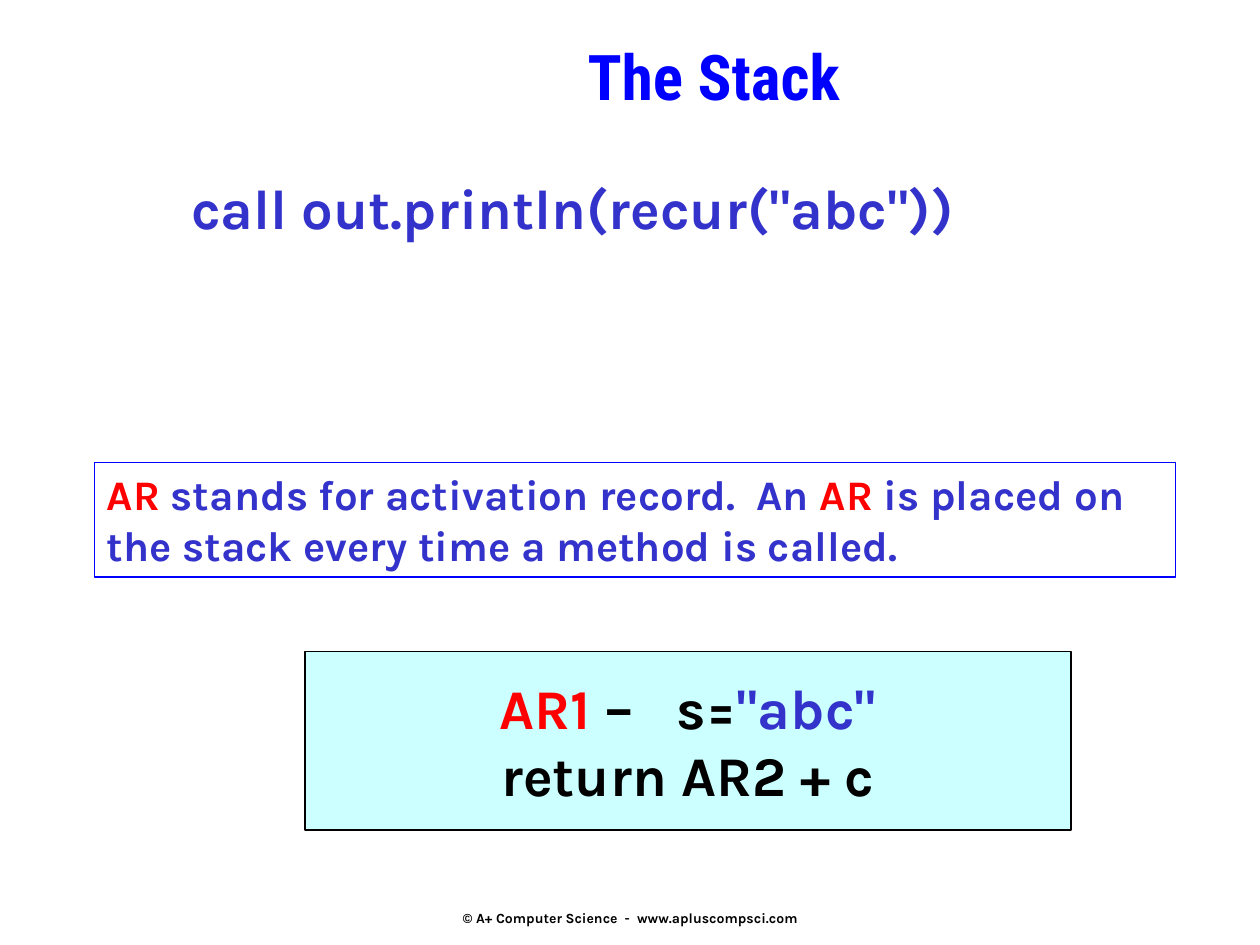
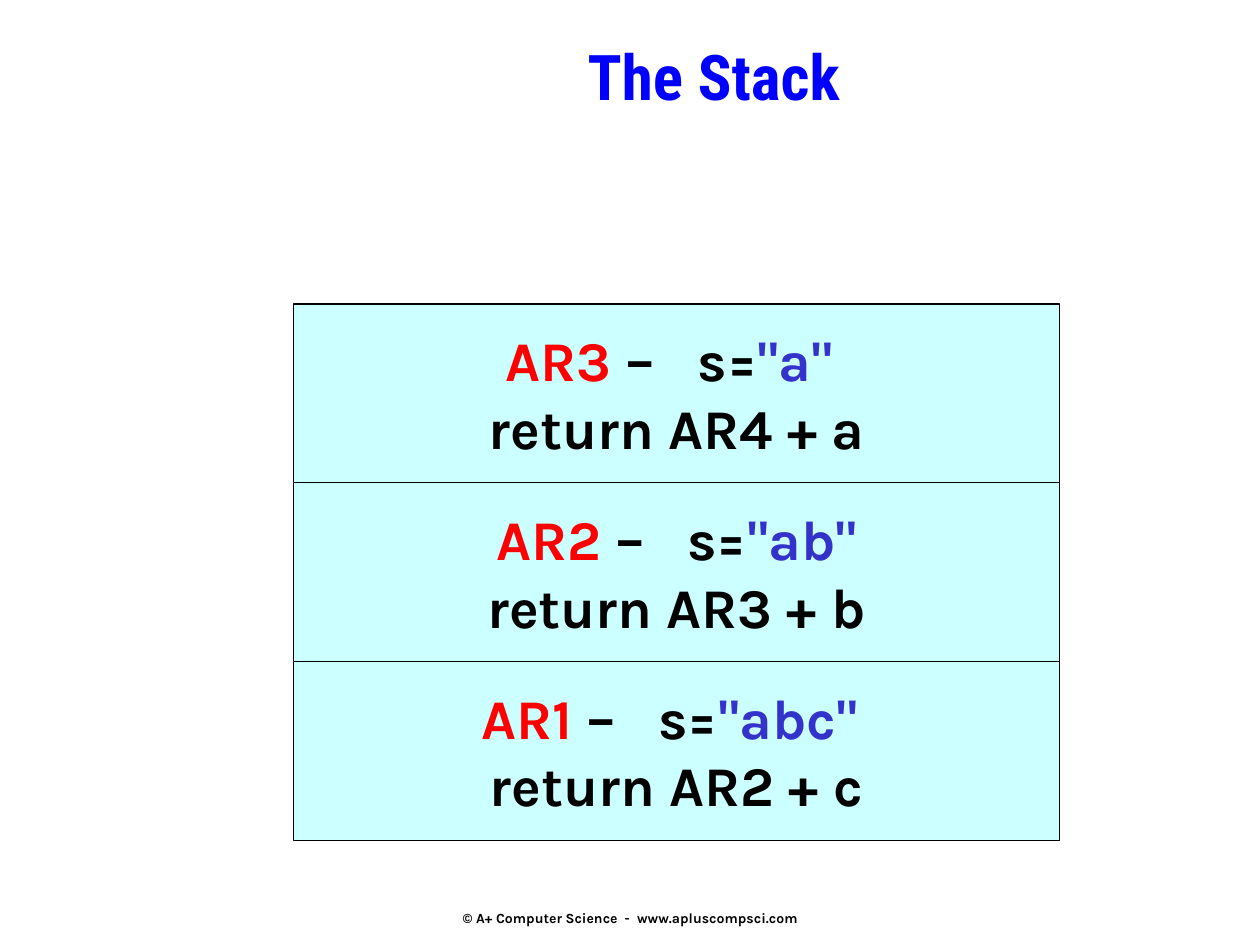
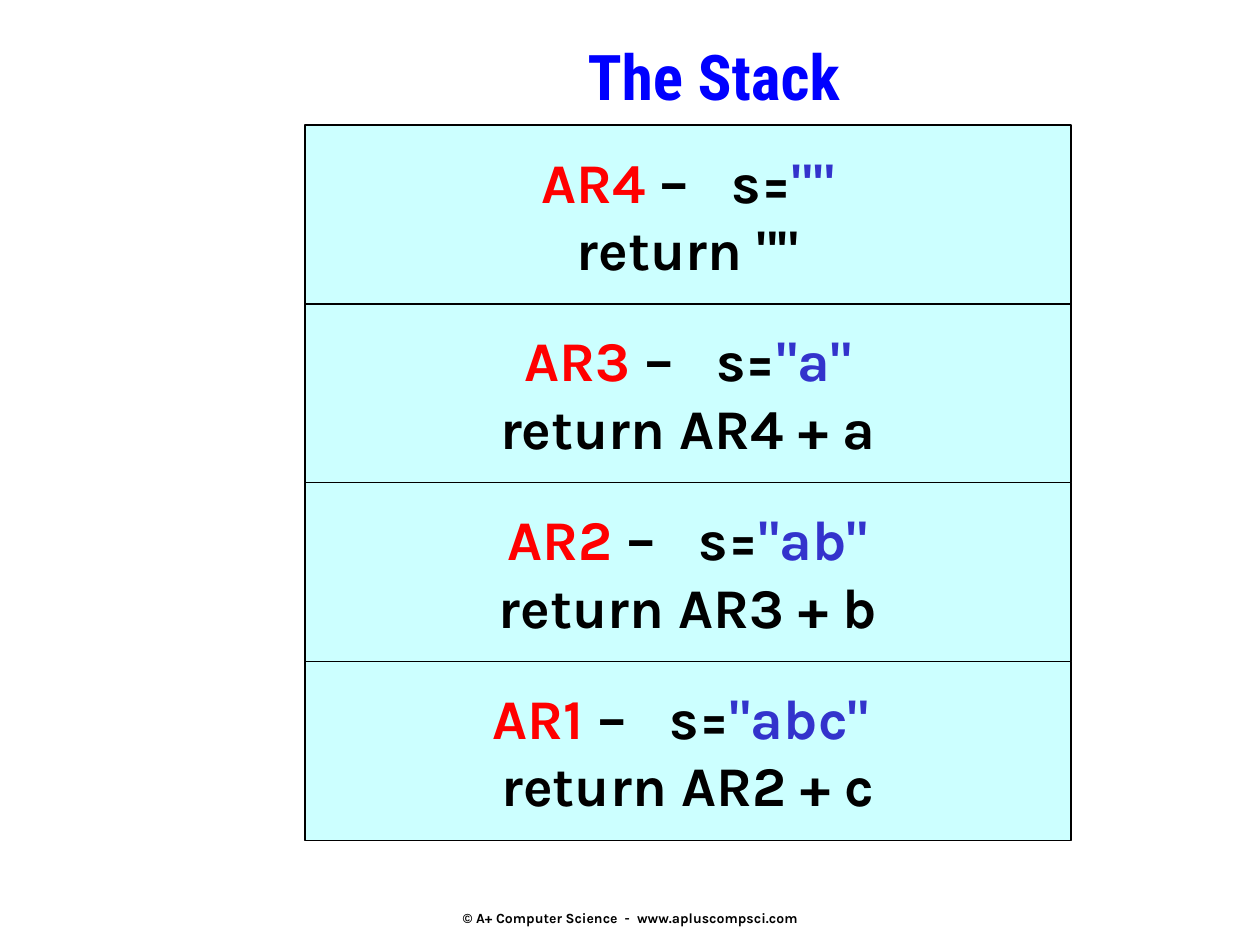
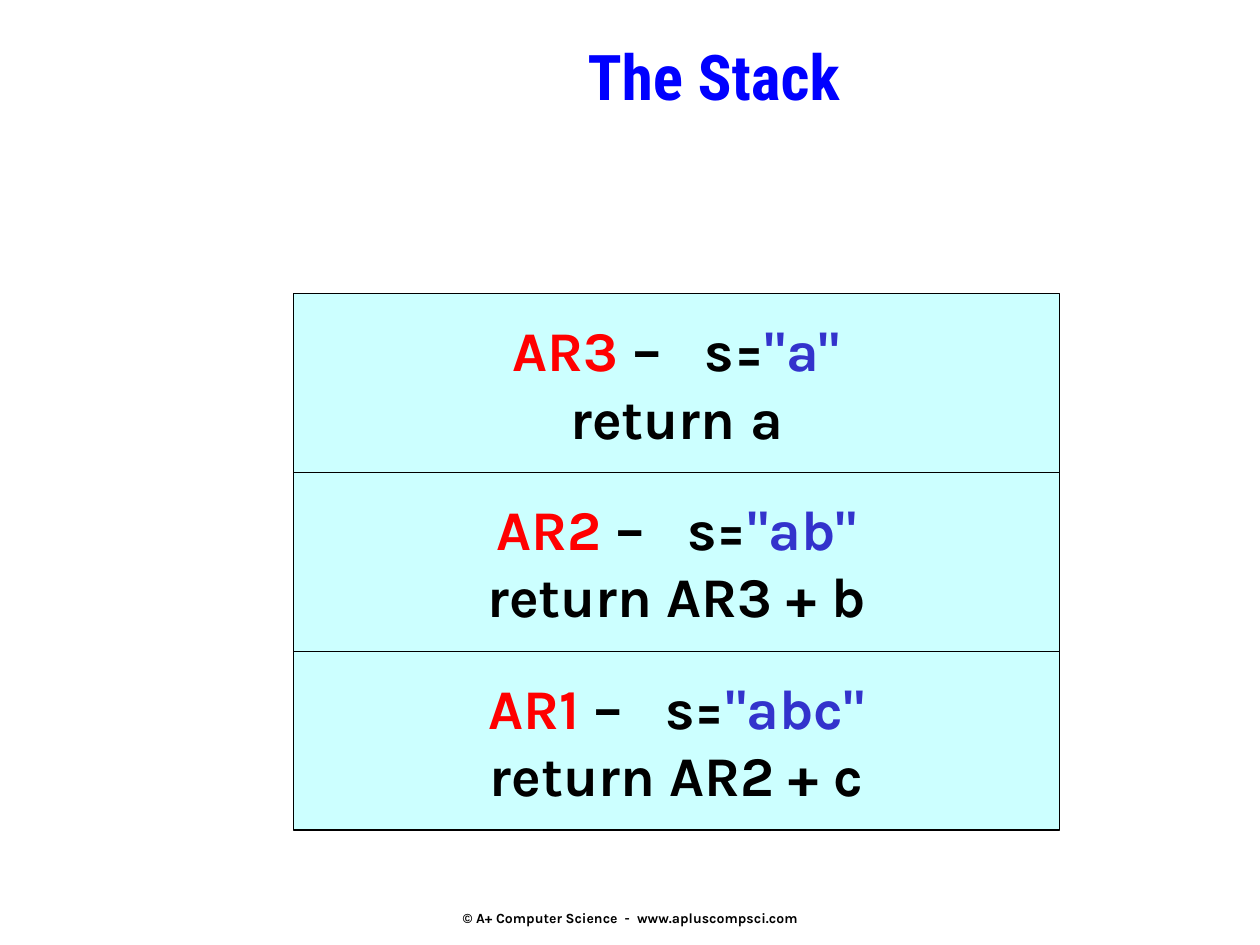
from lxml import etree
from pptx import Presentation
from pptx.dml.color import RGBColor
from pptx.enum.shapes import MSO_SHAPE
from pptx.enum.text import MSO_ANCHOR, MSO_AUTO_SIZE, PP_ALIGN
from pptx.oxml.ns import qn
from pptx.util import Inches, Pt

RECTANGLE = MSO_SHAPE.RECTANGLE
TOP, MIDDLE, BOTTOM = MSO_ANCHOR.TOP, MSO_ANCHOR.MIDDLE, MSO_ANCHOR.BOTTOM
LEFT, CENTER = PP_ALIGN.LEFT, PP_ALIGN.CENTER
FIXED, GROW = MSO_AUTO_SIZE.NONE, MSO_AUTO_SIZE.SHAPE_TO_FIT_TEXT

COLORS = {
    "title": "0000FF",
    "title_outline": "FFFF00",
    "text": "3333CC",
    "record": "FF0000",
    "black": "000000",
    "frame": "CCFFFF",
}
BODY_FONT = "Karla"
TITLE_FONT = "Roboto Condensed"
FRAME_WIDTH, FRAME_HEIGHT = 6.08, 1.42

AR1 = ("AR1", '"abc"', "return AR2 + c")
AR2 = ("AR2", '"ab"', "return AR3 + b")
AR3 = ("AR3", '"a"', "return AR4 + a")
AR3_RETURNED = ("AR3", '"a"', "return a")
AR4 = ("AR4", '""', 'return ""')


def rgb(color):
    return RGBColor.from_string(COLORS[color])


def write(shape, paragraphs, size, font=BODY_FONT, align=LEFT, anchor=TOP,
          wrap=False, fit=FIXED):
    """Fill a shape with paragraphs, each a list of (text, colour name) runs."""
    frame = shape.text_frame
    frame.word_wrap = wrap
    frame.auto_size = fit
    frame.vertical_anchor = anchor
    for index, runs in enumerate(paragraphs):
        paragraph = frame.add_paragraph() if index else frame.paragraphs[0]
        paragraph.alignment = align
        for text, color in runs:
            run = paragraph.add_run()
            run.text = text
            run.font.name = font
            run.font.size = Pt(size)
            run.font.bold = True
            run.font.color.rgb = rgb(color)
    return frame


def add_box(slide, left, top, width, height, line, fill=None):
    box = slide.shapes.add_shape(RECTANGLE, Inches(left), Inches(top),
                                 Inches(width), Inches(height))
    box.shadow.inherit = False
    box.line.color.rgb = rgb(line)
    box.line.width = Pt(1)
    if fill:
        box.fill.solid()
        box.fill.fore_color.rgb = rgb(fill)
    else:
        box.fill.background()
    return box


def add_label(slide, left, top, width, height, paragraphs, **text_format):
    label = slide.shapes.add_textbox(Inches(left), Inches(top),
                                     Inches(width), Inches(height))
    return write(label, paragraphs, **text_format)


def outline_text(run, color, width):
    properties = run.font._element
    outline = etree.Element(qn("a:ln"), w=str(Pt(width)))
    fill = etree.SubElement(outline, qn("a:solidFill"))
    etree.SubElement(fill, qn("a:srgbClr"), val=COLORS[color])
    properties.insert(0, outline)


def add_title(slide, text):
    title = slide.shapes.title
    title.left, title.top = Inches(2.33), Inches(0.25)
    title.width, title.height = Inches(6.67), Inches(0.58)
    frame = write(title, [[(text, "title")]], size=36, font=TITLE_FONT,
                  align=CENTER)
    outline_text(frame.paragraphs[0].runs[0], "title_outline", 0.75)


def add_footer(slide):
    credit = "© A+ Computer Science  -  www.apluscompsci.com"
    frame = add_label(slide, 3.42, 6.85, 3.17, 0.5, [[(credit, "black")]],
                      size=8, align=CENTER, anchor=BOTTOM)
    frame.margin_bottom = 0


def add_stack(slide, left, bottom, records):
    """Pile activation records upward from bottom, the first call lowest."""
    for level, (name, value, result) in enumerate(records, start=1):
        box = add_box(slide, left, bottom - level * FRAME_HEIGHT,
                      FRAME_WIDTH, FRAME_HEIGHT, line="black", fill="frame")
        call = [(name, "record"), (" –   s=", "black"), (value, "text")]
        write(box, [call, [(result, "black")]], size=32, align=CENTER,
              anchor=MIDDLE)


def add_definition(slide, left, top, width, height):
    box = add_box(slide, left, top, width, height, line="title")
    sentence = [
        ("AR", "record"),
        (" stands for activation record.  An ", "text"),
        ("AR", "record"),
        (" is placed on the stack every time a method is called.", "text"),
    ]
    write(box, [sentence], size=24, wrap=True, fit=GROW)


def add_stack_slide(deck, left, bottom, records):
    slide = deck.slides.add_slide(deck.slide_layouts.get_by_name("Title Only"))
    add_title(slide, "The Stack")
    add_footer(slide)
    add_stack(slide, left, bottom, records)
    return slide


def with_space(record):
    """Follow the value with a space, which shifts its centred line."""
    name, value, result = record
    return name, value + " ", result


def main():
    deck = Presentation()
    deck.slide_width, deck.slide_height = Inches(10), Inches(7.5)

    first_call = add_stack_slide(deck, 2.42, 6.59, [AR1])
    add_label(first_call, 1.42, 1.33, 7.08, 0.63,
              [[('call out.println(recur("abc"))', "text")]],
              size=32, wrap=True, fit=GROW)
    add_definition(first_call, 0.75, 3.67, 8.58, 0.91)

    add_stack_slide(deck, 2.33, 6.67, [with_space(AR1), AR2, with_space(AR3)])
    add_stack_slide(deck, 2.42, 6.67, [with_space(AR1), AR2, AR3, AR4])
    add_stack_slide(deck, 2.33, 6.59, [AR1, AR2, AR3_RETURNED])

    deck.save("out.pptx")


if __name__ == "__main__":
    main()
